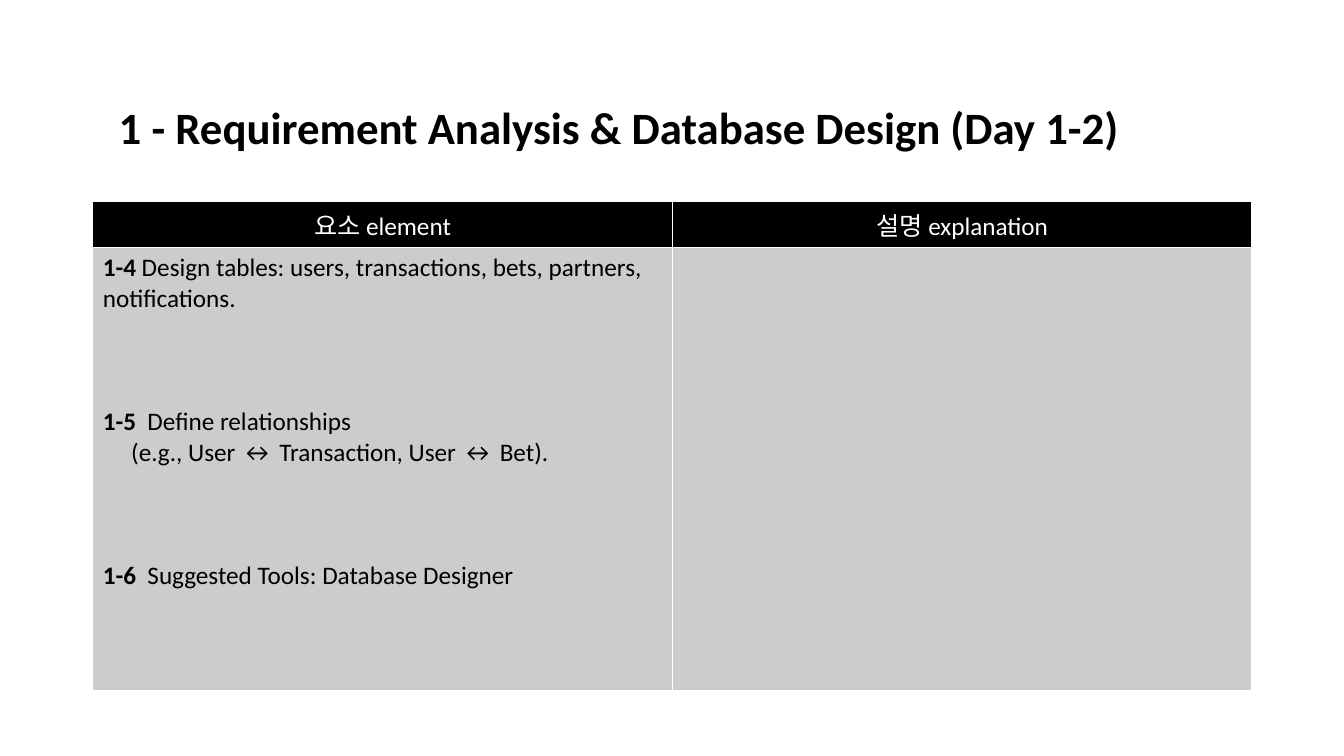
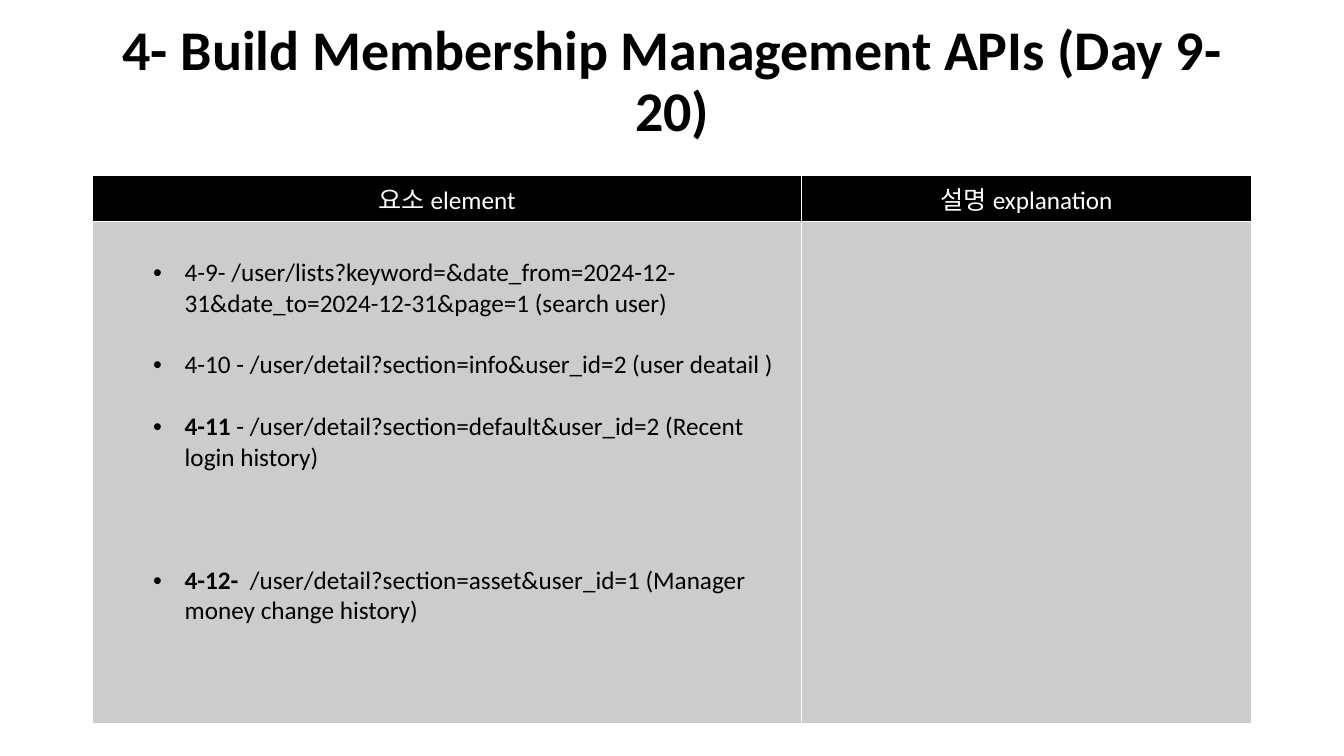
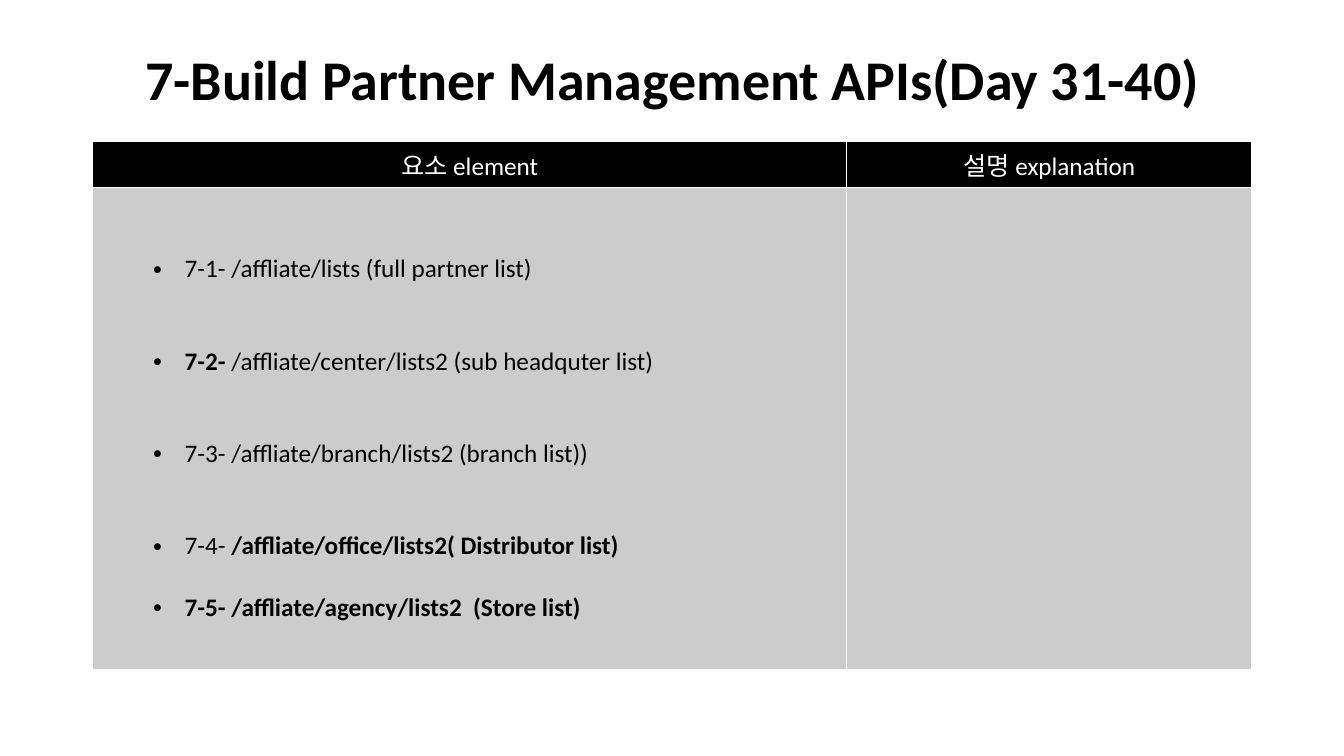
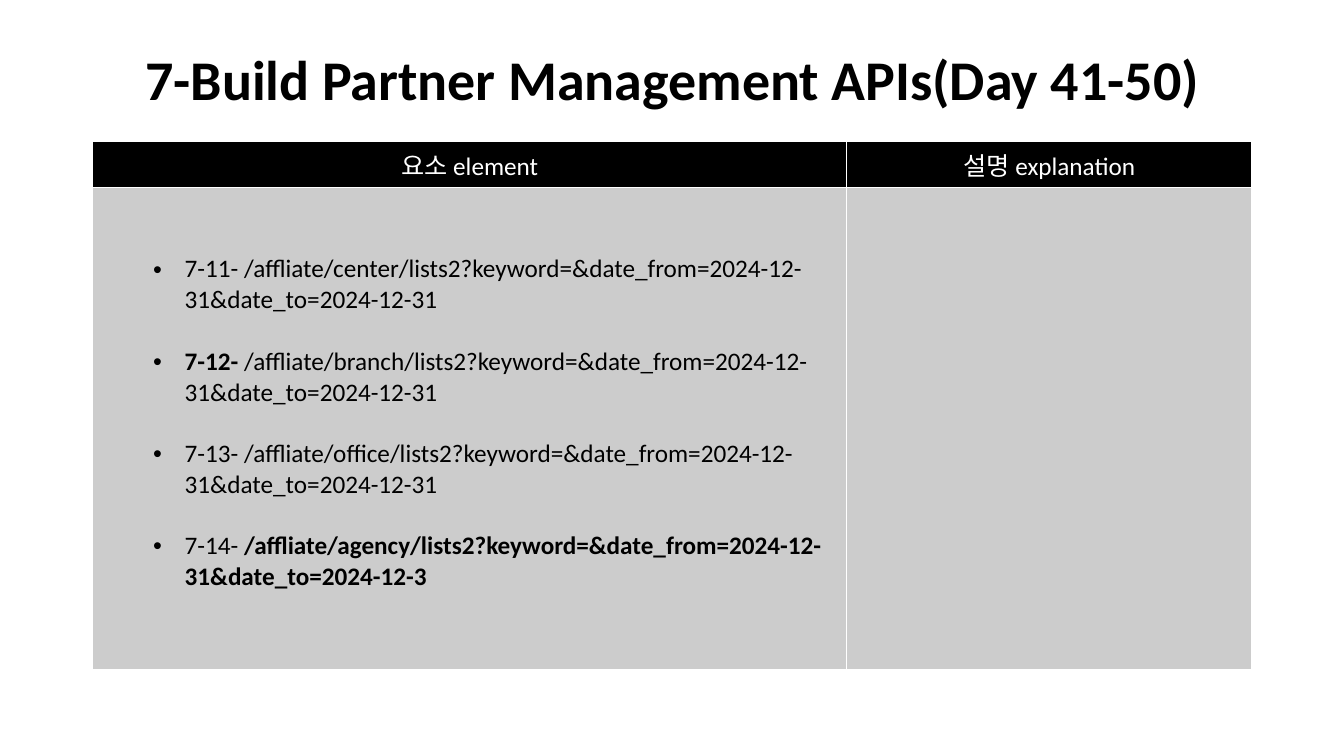
"""Build the four project plan slides, each a title over a two-column table."""
from dataclasses import dataclass
from typing import Any

from lxml import etree
from pptx import Presentation
from pptx.dml.color import RGBColor
from pptx.enum.text import MSO_ANCHOR, PP_ALIGN
from pptx.oxml.ns import qn
from pptx.util import Pt

BLACK = RGBColor(0x00, 0x00, 0x00)
WHITE = RGBColor(0xFF, 0xFF, 0xFF)
GRAY = RGBColor(0xCC, 0xCC, 0xCC)
LEFT, CENTER = PP_ALIGN.LEFT, PP_ALIGN.CENTER
MIDDLE = MSO_ANCHOR.MIDDLE

FACE = "Calibri"
EDGE, WIDTH = 66.24, 828
HEAD = 33
LINE = 22
INSET = 3.6
HEADS = ("요소 element", "설명 explanation")
SIDES = ("a:lnL", "a:lnR", "a:lnT", "a:lnB")

BODY = {"name": FACE, "size": Pt(18), "bold": False}
STRONG = BODY | {"bold": True}


@dataclass(frozen=True)
class Run:
    text: str
    bold: bool = False


@dataclass(frozen=True)
class Item:
    runs: tuple[Run, ...]
    gap: int = 0
    indent: float = 0
    bullet: bool = True


@dataclass(frozen=True)
class Title:
    text: str
    left: float = EDGE
    top: float = 7
    size: float = 40
    align: Any = CENTER


@dataclass(frozen=True)
class Page:
    title: Title
    top: float
    split: float
    depth: float
    lead: int
    items: tuple[Item, ...]


def plain(text: str, gap: int = 0) -> Item:
    return Item((Run(text),), gap)


def mixed(first: str, rest: str, gap: int = 0, bold: bool = True, **form: Any) -> Item:
    return Item((Run(first, bold), Run(rest, not bold)), gap, **form)


def style(target: Any, form: dict[str, Any], color: RGBColor) -> None:
    for name, value in form.items():
        setattr(target, name, value)
    target.color.rgb = color


def add_run(para: Any, text: str, form: dict[str, Any], color: RGBColor) -> None:
    run = para.add_run()
    run.text = text
    style(run.font, form, color)


def add_title(slide: Any, title: Title) -> None:
    box = slide.shapes.add_textbox(Pt(title.left), Pt(title.top), Pt(WIDTH), Pt(104))
    frame = box.text_frame
    frame.word_wrap = True
    frame.vertical_anchor = MIDDLE
    para = frame.paragraphs[0]
    para.alignment = title.align
    para.line_spacing = 0.9
    add_run(para, title.text, STRONG | {"size": Pt(title.size)}, BLACK)


def paint(cell: Any, color: RGBColor) -> None:
    props = cell._tc.get_or_add_tcPr()
    for side in SIDES:
        line = etree.SubElement(props, qn(side), w=str(Pt(1)))
        fill = etree.SubElement(line, qn("a:solidFill"))
        etree.SubElement(fill, qn("a:srgbClr"), val=str(WHITE))
    cell.fill.solid()
    cell.fill.fore_color.rgb = color


def set_indent(para: Any, item: Item) -> None:
    props = para._p.get_or_add_pPr()
    if item.bullet:
        props.set("marL", str(Pt(58.5)))
        props.set("indent", str(Pt(-22.5)))
        etree.SubElement(props, qn("a:buFont"), typeface="Arial")
        etree.SubElement(props, qn("a:buChar"), char="•")
    else:
        props.set("marL", str(Pt(item.indent)))


def add_items(cell: Any, items: tuple[Item, ...], lead: int) -> None:
    cell.margin_top = Pt(INSET + lead * LINE)
    frame = cell.text_frame
    for spot, item in enumerate(items):
        para = frame.add_paragraph() if spot else frame.paragraphs[0]
        para.alignment = LEFT
        if item.gap:
            para.space_before = Pt(item.gap * LINE)
        set_indent(para, item)
        for run in item.runs:
            add_run(para, run.text, STRONG if run.bold else BODY, BLACK)


def add_grid(slide: Any, page: Page) -> None:
    table = slide.shapes.add_table(
        2, 2, Pt(EDGE), Pt(page.top), Pt(WIDTH), Pt(HEAD + page.depth)
    ).table
    table.horz_banding = False
    for col, width in zip(table.columns, (page.split, WIDTH - page.split)):
        col.width = Pt(width)
    for row, height in zip(table.rows, (HEAD, page.depth)):
        row.height = Pt(height)
    for col, text in enumerate(HEADS):
        cell = table.cell(0, col)
        paint(cell, BLACK)
        paint(table.cell(1, col), GRAY)
        para = cell.text_frame.paragraphs[0]
        para.alignment = CENTER
        add_run(para, text, BODY, WHITE)
    add_items(table.cell(1, 0), page.items, page.lead)


PAGES = (
    Page(
        Title("1 - Requirement Analysis & Database Design (Day 1-2)", 77.76, 41, 32, LEFT),
        144, 414, 316, 0,
        (
            mixed("1-4", " Design tables: users, transactions, bets, partners, notifications.",
                  bullet=False),
            mixed("1-5", "  Define relationships", 3, bullet=False),
            Item((Run("(e.g., User ↔ Transaction, User ↔ Bet)."),), indent=20.3, bullet=False),
            mixed("1-6  ", "Suggested Tools: Database Designer", 3, bullet=False),
        ),
    ),
    Page(
        Title("4- Build Membership Management APIs (Day 9-20)"),
        125.3, 506.2, 358.6, 1,
        (
            plain("4-9- /user/lists?keyword=&date_from=2024-12-31&date_to=2024-12-31&page=1 (search user)"),
            plain("4-10 - /user/detail?section=info&user_id=2 (user deatail )", 1),
            mixed("4-11", " - /user/detail?section=default&user_id=2 (Recent login history)", 1),
            mixed("4-12- ", " /user/detail?section=asset&user_id=1 (Manager money change history)", 3),
        ),
    ),
    Page(
        Title("7-Build Partner Management APIs(Day 31-40)"),
        100.8, 538.5, 344.6, 2,
        (
            plain("7-1- /affliate/lists (full partner list)"),
            mixed("7-2-", " /affliate/center/lists2 (sub headquter list)", 2),
            plain("7-3- /affliate/branch/lists2 (branch list))", 2),
            mixed("7-4- ", "/affliate/office/lists2( Distributor list)", 2, False),
            Item((Run("7-5- /affliate/agency/lists2  (Store list)", True),), 1),
        ),
    ),
    Page(
        Title("7-Build Partner Management APIs(Day 41-50)"),
        100.8, 538.5, 344.6, 2,
        (
            plain("7-11- /affliate/center/lists2?keyword=&date_from=2024-12-31&date_to=2024-12-31"),
            mixed("7-12-", " /affliate/branch/lists2?keyword=&date_from=2024-12-31&date_to=2024-12-31", 1),
            plain("7-13- /affliate/office/lists2?keyword=&date_from=2024-12-31&date_to=2024-12-31", 1),
            mixed("7-14- ", "/affliate/agency/lists2?keyword=&date_from=2024-12-31&date_to=2024-12-3", 1, False),
        ),
    ),
)


def main() -> None:
    deck = Presentation()
    deck.slide_width, deck.slide_height = Pt(960), Pt(540)
    for page in PAGES:
        slide = deck.slides.add_slide(deck.slide_layouts[6])
        add_title(slide, page.title)
        add_grid(slide, page)
    deck.save("out.pptx")


if __name__ == "__main__":
    main()
